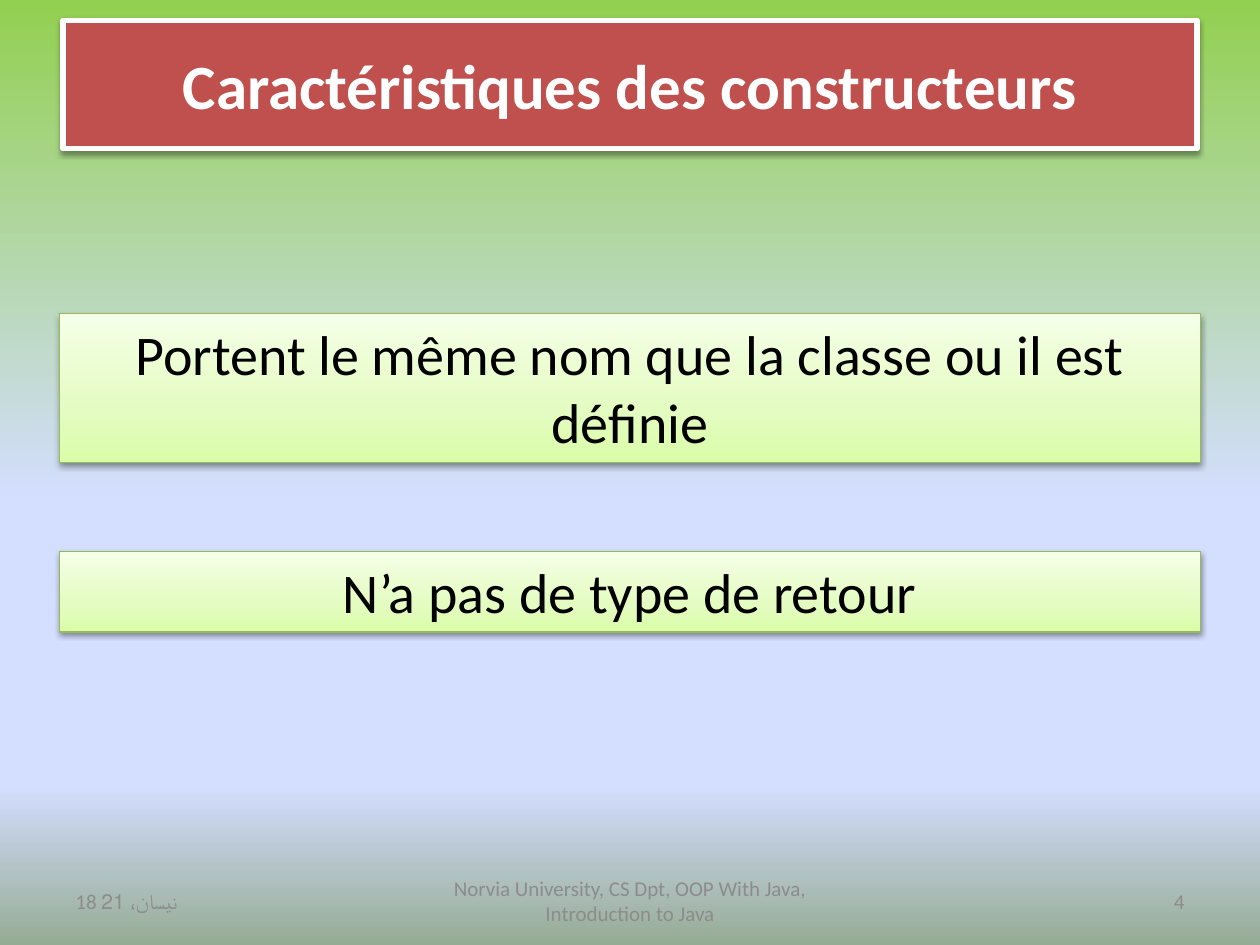
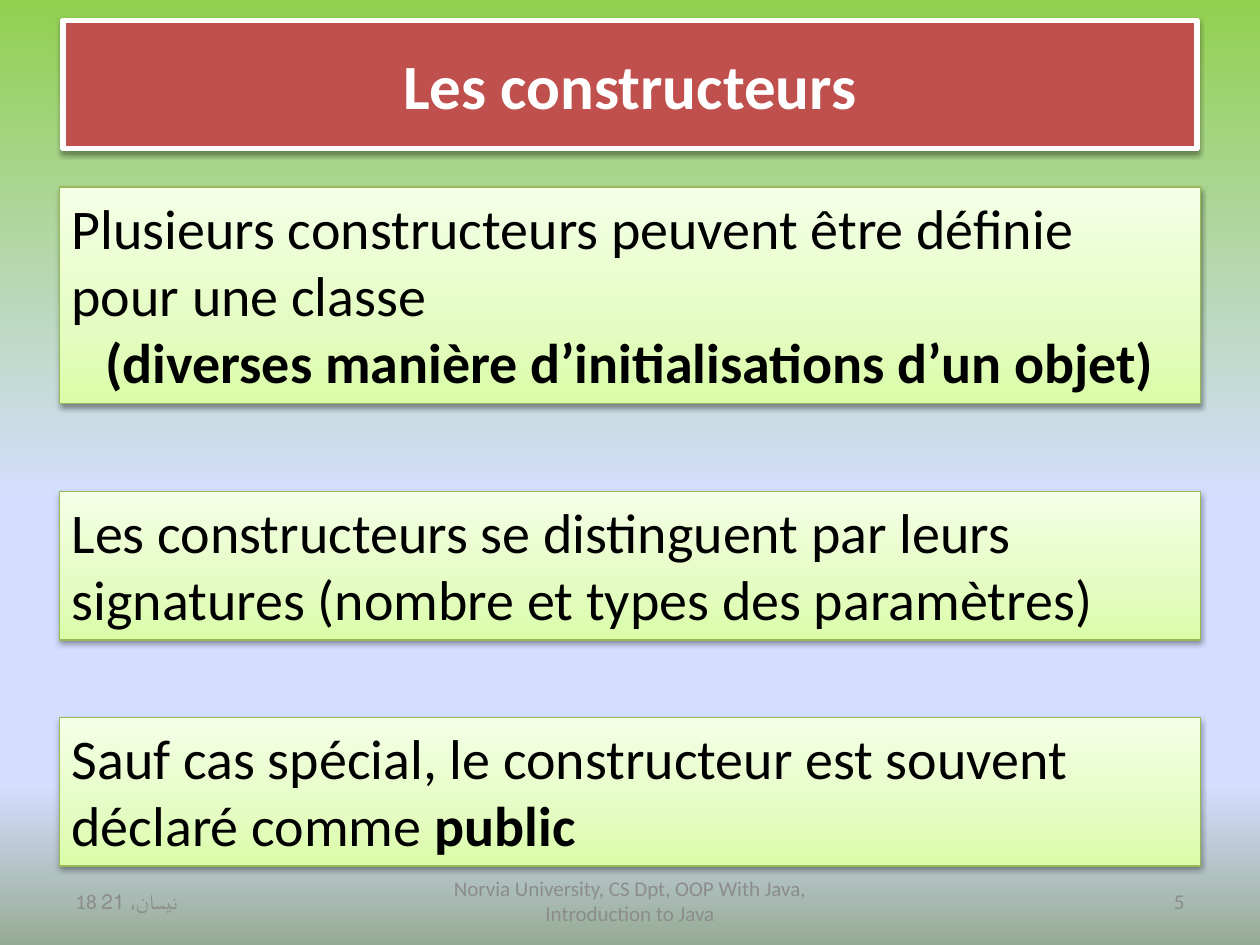
from dataclasses import dataclass

from lxml.etree import SubElement
from pptx import Presentation
from pptx.dml.color import RGBColor
from pptx.enum.shapes import MSO_SHAPE as Preset
from pptx.enum.text import MSO_ANCHOR as Anchor, MSO_AUTO_SIZE as AutoSize, PP_ALIGN as Align
from pptx.oxml.ns import qn
from pptx.util import Pt


@dataclass(frozen=True)
class Theme:
    font: str = "Calibri"
    title_size: int = 36
    body_size: int = 32
    footer_size: int = 12
    title_fill: str = "C0504D"
    title_ink: str = "FFFFFF"
    body_ink: str = "000000"
    footer_ink: str = "8C8C8C"
    box_line: str = "98B955"
    shadow: str = "000000"
    background: tuple = ((0, "92D050"), (53, "D4DEFF"), (83, "D4DEFF"), (100, "96AB94"))
    box_fill: tuple = ((0, "DAFDA7"), (35, "E4FCC2"), (100, "F5FFE7"))


@dataclass(frozen=True)
class Area:
    left: float
    top: float
    width: float
    height: float

    def lengths(self):
        return Pt(self.left), Pt(self.top), Pt(self.width), Pt(self.height)


@dataclass(frozen=True)
class Line:
    text: str
    bold_text: str = ""
    align: Align = Align.LEFT


@dataclass(frozen=True)
class Box:
    top: float
    height: float
    lines: tuple


@dataclass(frozen=True)
class Page:
    number: int
    title: str
    boxes: tuple


THEME = Theme()
TITLE_AREA = Area(36, 11.5, 648, 73.5)
BOX_LEFT, BOX_WIDTH = 33.84, 652.3
FOOTER_TOP, FOOTER_HEIGHT = 500.5, 28.75
ONE_LINE, TWO_LINES, THREE_LINES = 46, 84.9, 123.8
DATE = "18 نيسان، 21"
COURSE = "Norvia University, CS Dpt, OOP With Java, Introduction to Java"

PAGES = (
    Page(4, "Caractéristiques des constructeurs", (
        Box(179.3, TWO_LINES, (
            Line("Portent le même nom que la classe ou il est définie", align=Align.CENTER),)),
        Box(315.2, ONE_LINE, (Line("N’a pas de type de retour", align=Align.CENTER),)),
    )),
    Page(5, "Les constructeurs", (
        Box(106.8, THREE_LINES, (
            Line("Plusieurs constructeurs peuvent être définie pour une classe"),
            Line("", "(diverses manière d’initialisations d’un objet)", Align.CENTER))),
        Box(280.8, TWO_LINES, (
            Line("Les constructeurs se distinguent par leurs "
                 "signatures (nombre et types des paramètres)"),)),
        Box(410, TWO_LINES, (
            Line("Sauf cas spécial, le constructeur est souvent déclaré comme ", "public"),)),
    )),
)


def add_text(paragraph, text: str, *, size: float, color: str, bold: bool = False,
             align: Align = Align.LEFT) -> None:
    paragraph.alignment = align
    run = paragraph.add_run()
    run.text = text
    run.font.name = THEME.font
    run.font.size = Pt(size)
    run.font.bold = bold
    run.font.color.rgb = RGBColor.from_string(color)


def set_gradient(fill, element, stops: tuple, angle: int) -> None:
    fill.gradient()
    gradient = element.find(".//" + qn("a:gradFill"))
    for child in list(gradient):
        gradient.remove(child)
    stop_list = SubElement(gradient, qn("a:gsLst"))
    for position, color in stops:
        stop = SubElement(stop_list, qn("a:gs"), pos=str(position * 1000))
        SubElement(stop, qn("a:srgbClr"), val=color)
    SubElement(gradient, qn("a:lin"), ang=str(angle * 60000), scaled="0")


def set_outline(shape, color: str, width: float) -> None:
    shape.line.color.rgb = RGBColor.from_string(color)
    shape.line.width = Pt(width)


def add_shadow(shape) -> None:
    shape.shadow.inherit = False
    effects = shape.element.spPr.find(qn("a:effectLst"))
    shadow = SubElement(effects, qn("a:outerShdw"), blurRad=str(Pt(3.1)), dist=str(Pt(1.6)),
                        dir="5400000", rotWithShape="0")
    color = SubElement(shadow, qn("a:srgbClr"), val=THEME.shadow)
    SubElement(color, qn("a:alpha"), val="38000")


def draw_title(slide, text: str) -> None:
    title = slide.shapes.title
    title.left, title.top, title.width, title.height = TITLE_AREA.lengths()
    title.fill.solid()
    title.fill.fore_color.rgb = RGBColor.from_string(THEME.title_fill)
    set_outline(title, THEME.title_ink, 3)
    add_shadow(title)
    frame = title.text_frame
    frame.auto_size = AutoSize.NONE
    frame.vertical_anchor = Anchor.MIDDLE
    add_text(frame.paragraphs[0], text, size=THEME.title_size, color=THEME.title_ink,
             bold=True, align=Align.CENTER)


def draw_box(slide, box: Box) -> None:
    area = Area(BOX_LEFT, box.top, BOX_WIDTH, box.height)
    shape = slide.shapes.add_shape(Preset.RECTANGLE, *area.lengths())
    set_gradient(shape.fill, shape.element, THEME.box_fill, 270)
    set_outline(shape, THEME.box_line, 0.75)
    add_shadow(shape)
    frame = shape.text_frame
    frame.word_wrap = True
    frame.auto_size = AutoSize.SHAPE_TO_FIT_TEXT
    frame.vertical_anchor = Anchor.TOP
    for index, line in enumerate(box.lines):
        paragraph = frame.add_paragraph() if index else frame.paragraphs[0]
        for text, bold in ((line.text, False), (line.bold_text, True)):
            if text:
                add_text(paragraph, text, size=THEME.body_size, color=THEME.body_ink,
                         bold=bold, align=line.align)


def draw_footer(slide, number: int) -> None:
    for left, width, text, align in (
        (246, 228, COURSE, Align.CENTER),
        (516, 168, str(number), Align.RIGHT),
        (36, 168, DATE, Align.LEFT),
    ):
        area = Area(left, FOOTER_TOP, width, FOOTER_HEIGHT)
        frame = slide.shapes.add_textbox(*area.lengths()).text_frame
        frame.word_wrap = True
        frame.vertical_anchor = Anchor.MIDDLE
        add_text(frame.paragraphs[0], text, size=THEME.footer_size,
                 color=THEME.footer_ink, align=align)


def draw_page(presentation, page: Page) -> None:
    slide = presentation.slides.add_slide(presentation.slide_layouts.get_by_name("Title Only"))
    draw_title(slide, page.title)
    for box in page.boxes:
        draw_box(slide, box)
    draw_footer(slide, page.number)


def main() -> None:
    presentation = Presentation()
    presentation.slide_width, presentation.slide_height = Pt(720), Pt(540)
    master = presentation.slide_master
    set_gradient(master.background.fill, master.element, THEME.background, 90)
    for page in PAGES:
        draw_page(presentation, page)
    presentation.save("out.pptx")


main()
